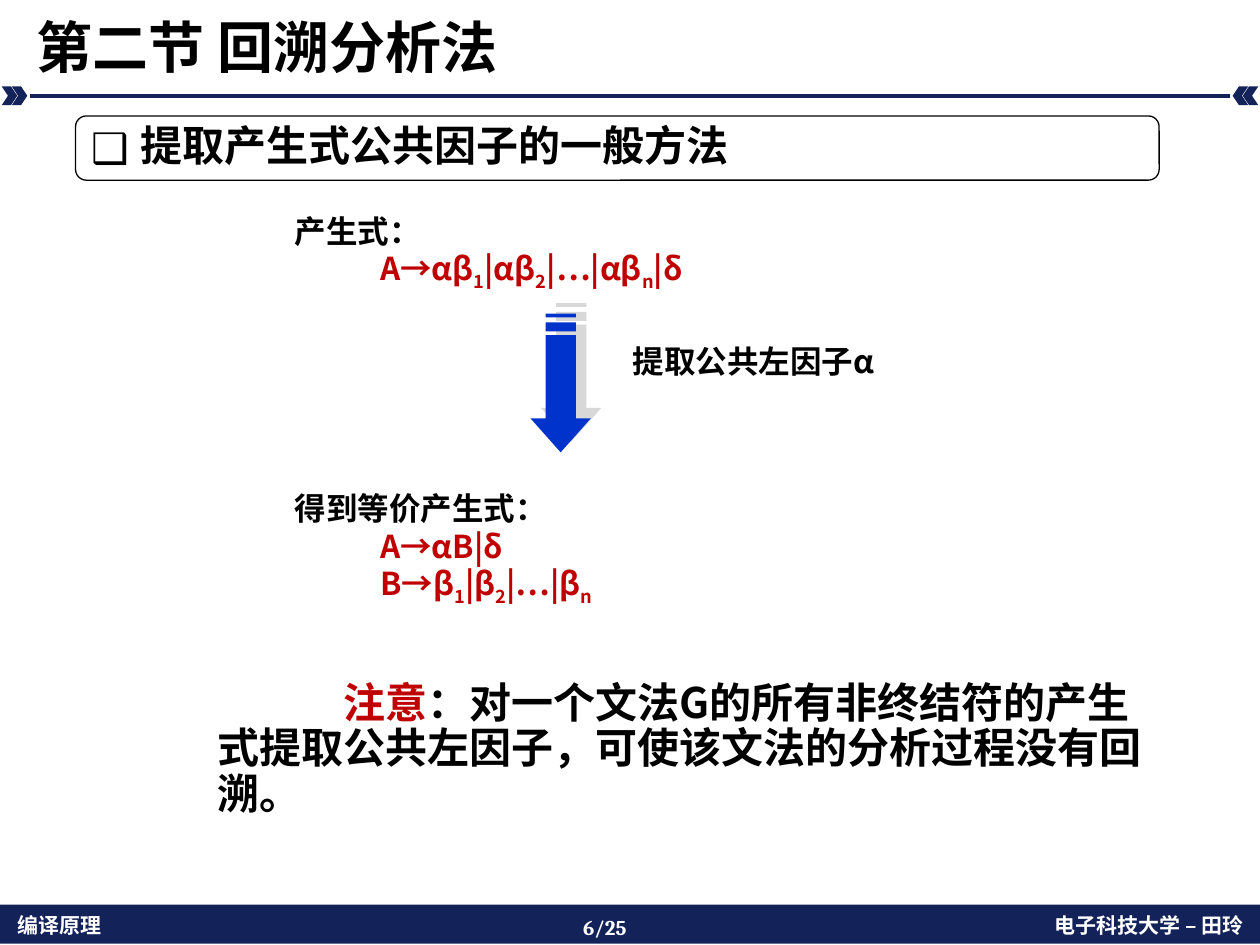
from lxml import etree
from pptx import Presentation, util as u
from pptx.dml.color import RGBColor
from pptx.enum import shapes, text
from pptx.oxml import ns

IN = u.Inches
SHAPE = shapes.MSO_SHAPE
ALIGN = text.PP_ALIGN
ANCHOR = text.MSO_ANCHOR


def rgb(code):
    return RGBColor.from_string(code)


def sub(parent, tag, **attrs):
    return etree.SubElement(parent, ns.qn(tag), attrs)


class Page:
    sans = "Noto Sans CJK SC"
    serif = "Cambria"
    navy, black, white = "132259", "000000", "FFFFFF"
    red, blue, gray = "C00000", "0033CC", "B2B2B2"

    def __init__(self, slide):
        self.slide = slide
        self.shapes = slide.shapes

    def shape(self, kind, box, fill=None, line=None, width=2.0, adj=None):
        item = self.shapes.add_shape(kind, *map(IN, box))
        item.shadow.inherit = False
        if adj is not None:
            item.adjustments[0] = adj
        if fill:
            item.fill.solid()
            item.fill.fore_color.rgb = rgb(fill)
        else:
            item.fill.background()
        if line:
            item.line.color.rgb = rgb(line)
            item.line.width = u.Pt(width)
            sub(item._element.spPr.find(ns.qn("a:ln")), "a:miter", lim="800000")
        else:
            item.line.fill.background()
        return item

    def rule(self, left, right, y):
        line = self.shapes.add_connector(
            shapes.MSO_CONNECTOR.STRAIGHT, IN(left), IN(y), IN(right), IN(y))
        line.line.color.rgb = rgb(self.navy)
        line.line.width = u.Pt(2)
        sub(line._element.spPr, "a:effectLst")

    def box(self, area, anchor=ANCHOR.TOP):
        frame = self.shapes.add_textbox(*map(IN, area)).text_frame
        frame.word_wrap = True
        frame.vertical_anchor = anchor
        return frame

    def para(self, frame, runs, size, align=ALIGN.LEFT, left=0, first=0,
             space=1.0, bullet=None, font=None):
        """Add a paragraph of (text, colour) runs; _x_ sets x as subscript."""
        para = frame.paragraphs[0]
        if para.runs:
            para = frame.add_paragraph()
        para.alignment = align
        para.line_spacing = space
        props = para._p.get_or_add_pPr()
        props.set("marL", str(IN(left)))
        props.set("indent", str(IN(first)))
        props.set("defTabSz", str(IN(1)))
        if bullet:
            sub(props, "a:buFont", typeface=self.sans)
            sub(props, "a:buChar", char=bullet)
        for words, color in runs:
            for i, part in enumerate(words.split("_")):
                if part:
                    self.run(para, part, size, color, font or self.sans, i % 2)

    def run(self, para, words, size, color, font, low):
        run = para.add_run()
        run.text = words
        run.font.size = u.Pt(size)
        run.font.bold = True
        run.font.color.rgb = rgb(color)
        run.font.name = font
        props = run._r.get_or_add_rPr()
        sub(props, "a:ea", typeface=font)
        if low:
            props.set("baseline", "-25000")

    def rules(self, area, head, lines):
        """Write a heading with grammar rules indented below it."""
        frame = self.box(area)
        self.para(frame, [(head, self.black)], 18)
        for line in lines:
            self.para(frame, [(line, self.red)], 18, left=1.18, first=-0.5)

    def arrow(self, mid, top):
        """Draw a striped down arrow with an offset shadow."""
        def bar(y, high):
            return [(mid - 0.12, y), (mid + 0.12, y),
                    (mid + 0.12, y + high), (mid - 0.12, y + high)]

        neck, tip = top + 0.83, top + 1.1
        head = [(mid + 0.12, top + 0.17), (mid + 0.12, neck),
                (mid + 0.24, neck), (mid, tip), (mid - 0.24, neck),
                (mid - 0.12, neck), (mid - 0.12, top + 0.17)]
        build = None
        for outline in (head, bar(top + 0.07, 0.07), bar(top, 0.03)):
            start, *rest = [(IN(x), IN(y)) for x, y in outline]
            if build is None:
                build = self.shapes.build_freeform(*start, scale=1.0)
            else:
                build.move_to(*start)
            build.add_line_segments(rest, close=True)
        item = build.convert_to_shape()
        item.fill.solid()
        item.fill.fore_color.rgb = rgb(self.blue)
        item.line.fill.background()
        item.shadow.inherit = False
        effects = item._element.spPr.find(ns.qn("a:effectLst"))
        shade = sub(effects, "a:outerShdw", dist=str(u.Pt(8.5)),
                    dir="18900000", algn="ctr", rotWithShape="0")
        tint = sub(shade, "a:srgbClr", val=self.gray)
        sub(tint, "a:alpha", val="50000")


def main():
    deck = Presentation()
    deck.slide_width, deck.slide_height = IN(10), IN(7.5)
    page = Page(deck.slides.add_slide(deck.slide_layouts[6]))

    page.shape(SHAPE.RECTANGLE, (0, 7.18, 10, 0.31), page.navy)
    for area, words, align, font in (
            ((0.04, 7.19, 2.94, 0.3), "编译原理", ALIGN.LEFT, page.sans),
            ((6.98, 7.19, 2.99, 0.3), "电子科技大学 – 田玲", ALIGN.RIGHT, page.sans),
            ((4.53, 7.21, 0.94, 0.3), "6/25", ALIGN.LEFT, page.serif)):
        page.para(page.box(area), [(words, page.white)], 12, align, font=font)

    for x, turn in ((0.04, 0), (0.12, 0), (9.8, 180), (9.88, 180)):
        mark = page.shape(SHAPE.CHEVRON, (x, 0.7, 0.08, 0.12),
                          page.navy, page.navy)
        mark.rotation = turn
    page.rule(0.24, 9.76, 0.76)

    title = page.box((0.19, 0.05, 9.61, 0.64), ANCHOR.BOTTOM)
    page.para(title, [("第二节 回溯分析法", page.black)], 32, space=0.9)

    topic = page.shape(SHAPE.ROUNDED_RECTANGLE, (0.6, 0.92, 8.6, 0.51),
                       line=page.black, width=0.75, adj=0.167).text_frame
    topic.vertical_anchor = ANCHOR.TOP
    page.para(topic, [("提取产生式公共因子的一般方法", page.black)], 24,
              ALIGN.JUSTIFY, 0.39, -0.39, 0.9, "❑")

    page.rules((2.24, 1.63, 4.33, 0.87), "产生式：",
               ["A→αβ_1_|αβ_2_|…|αβ_n_|δ"])
    page.rules((2.24, 3.83, 4.33, 1.18), "得到等价产生式：",
               ["A→αB|δ", "B→β_1_|β_2_|…|β_n_"])

    note = page.shape(SHAPE.ROUNDED_RECTANGLE, (0.67, 5.35, 8.74, 1),
                      adj=0.054).text_frame
    note.vertical_anchor = ANCHOR.TOP
    page.para(note, [
        ("\t", page.black), ("注意", page.red),
        ("：对一个文法G的所有非终结符的产生式提取公共左因子，"
         "可使该文法的分析过程没有回溯。", page.black)],
        24, left=0.94, space=0.9)

    page.arrow(4.45, 2.49)
    label = page.box((4.84, 2.57, 2.28, 0.63), ANCHOR.MIDDLE)
    label.word_wrap = False
    label.margin_left = label.margin_right = 0
    page.para(label, [("提取公共左因子α", page.black)], 18, ALIGN.CENTER,
              space=0.9)

    deck.save("out.pptx")


if __name__ == "__main__":
    main()
